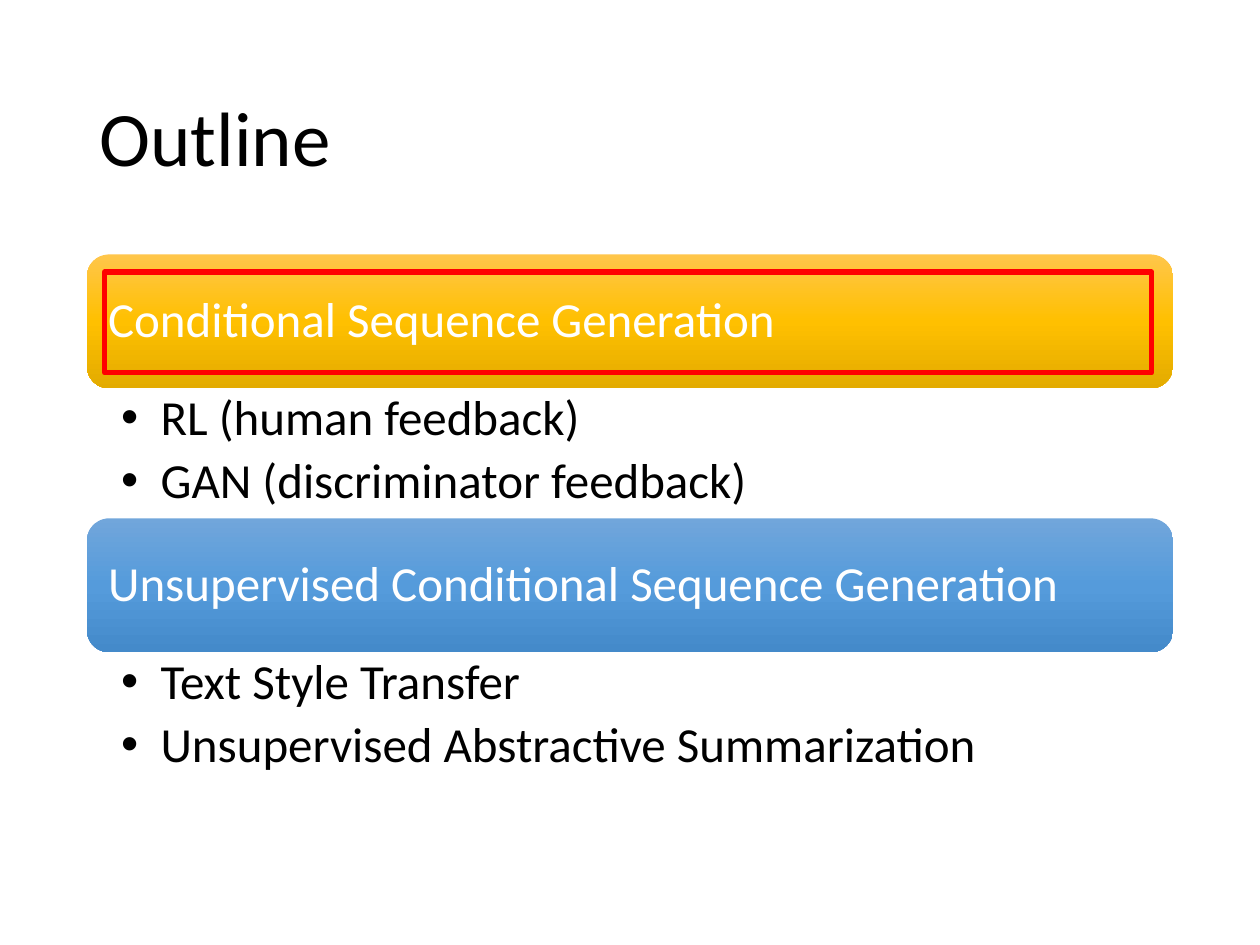
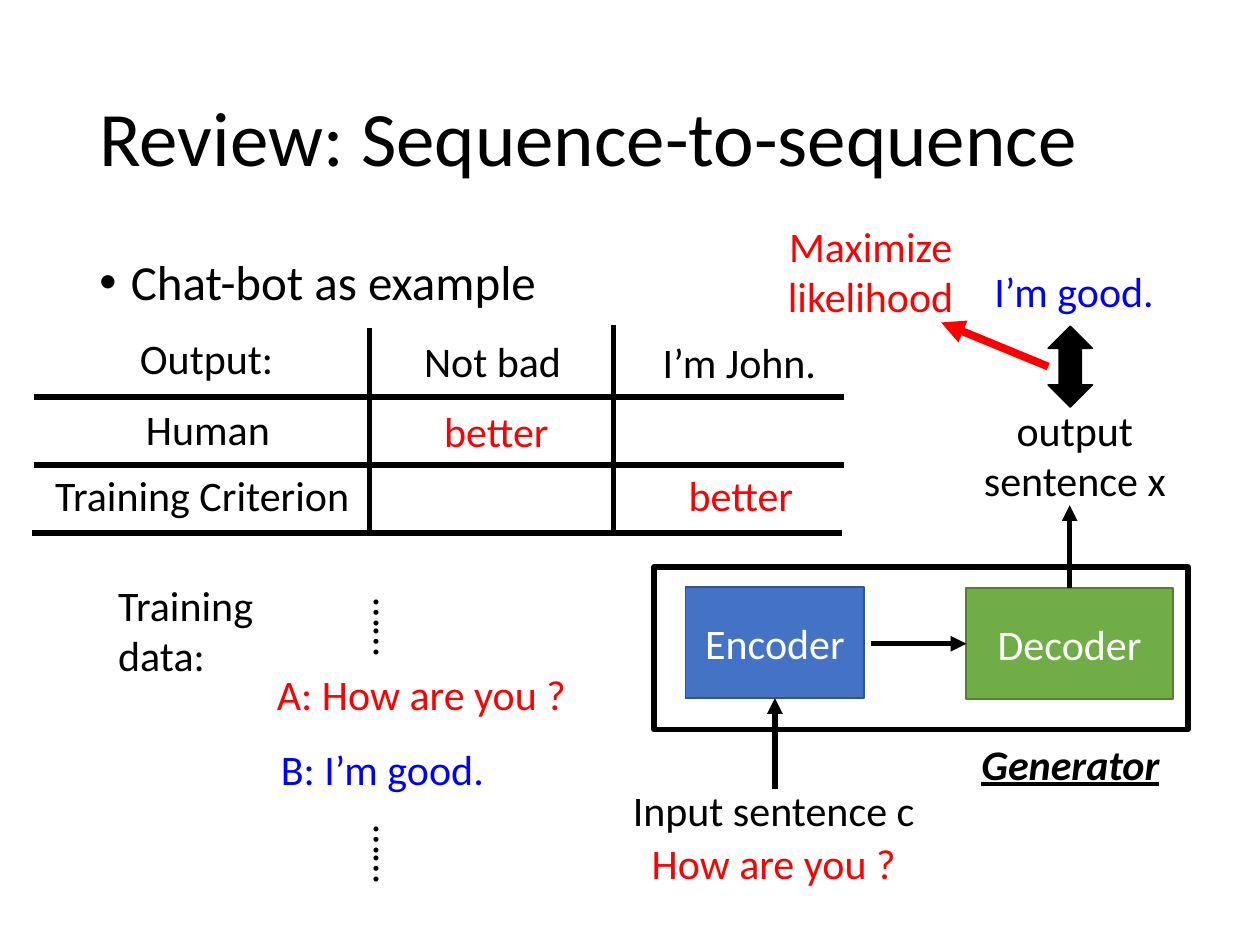
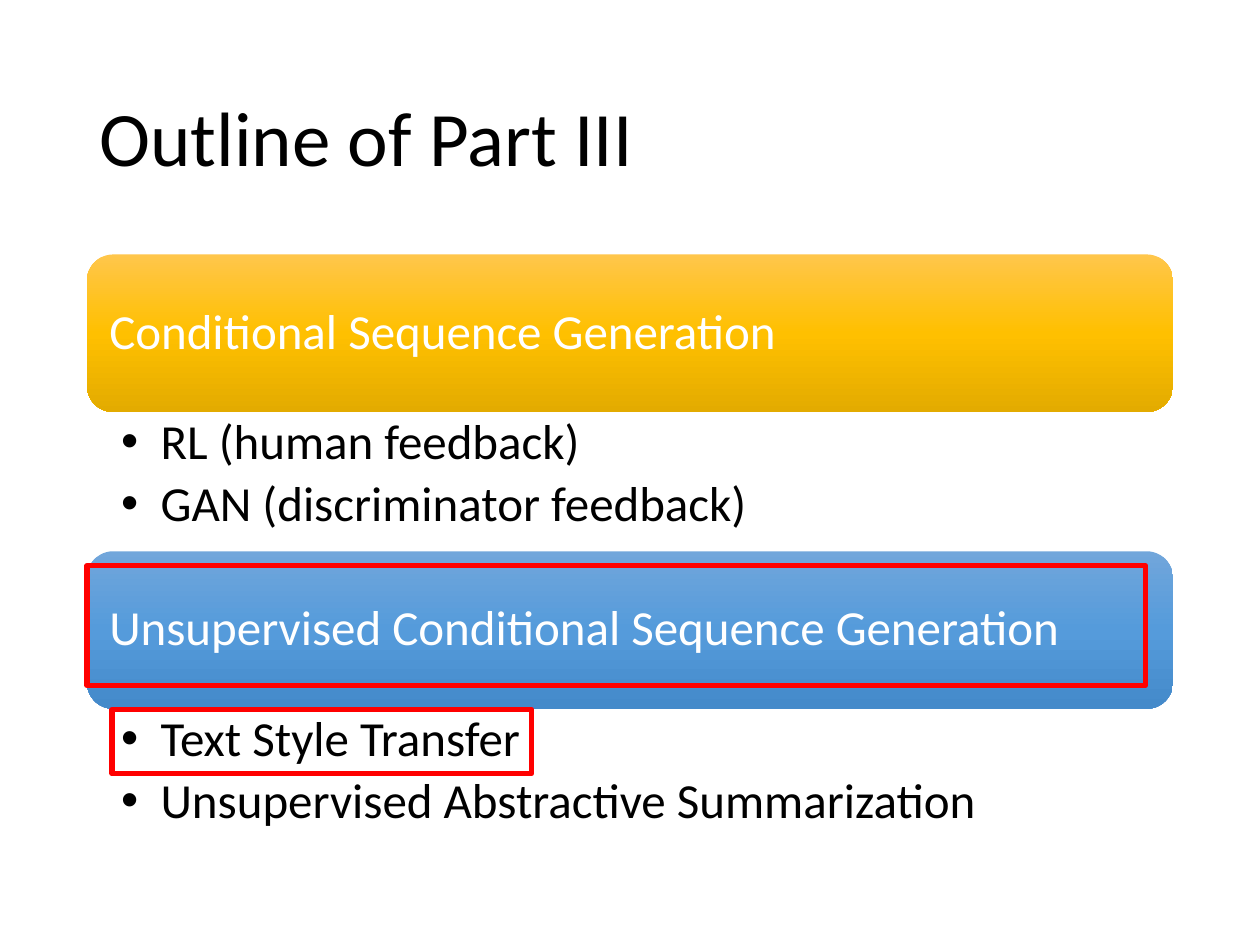
from copy import deepcopy
from dataclasses import dataclass

from lxml.etree import SubElement
from pptx import Presentation
from pptx.dml.color import RGBColor
from pptx.enum.shapes import MSO_CONNECTOR, MSO_SHAPE
from pptx.enum.text import MSO_ANCHOR, PP_ALIGN
from pptx.oxml.ns import qn
from pptx.util import Pt

FONT = "Calibri"
BLACK, WHITE, RED, BLUE = "000000", "FFFFFF", "FF0000", "0000FF"
LEFT, WIDTH = 49.7, 620.6
LINE_HEIGHT = 36
DEFAULT_INSETS = (7.2, 3.6, 7.2, 3.6)


@dataclass
class Box:
    left: float
    top: float
    width: float
    height: float = LINE_HEIGHT

    def points(self):
        return [Pt(v) for v in (self.left, self.top, self.width, self.height)]


@dataclass
class Label:
    text: str
    box: Box
    color: str = BLACK
    align: PP_ALIGN = PP_ALIGN.CENTER
    rotation: int = 0
    emphasis: bool = False


@dataclass
class Line:
    start: tuple
    end: tuple
    color: str = BLACK
    weight: float = 3


@dataclass
class Section:
    heading: str
    items: str
    gradient: tuple


SECTIONS = [
    Section("Conditional Sequence Generation",
            "RL (human feedback)\nGAN (discriminator feedback)",
            ("FFC64B", "FFC000", "E3AB00")),
    Section("Unsupervised Conditional Sequence Generation",
            "Text Style Transfer\nUnsupervised Abstractive Summarization",
            ("71A6DB", "559BDB", "448ACA")),
]


def rgb(color: str) -> RGBColor:
    return RGBColor.from_string(color)


def write_text(frame, text: str, *, size: float = 24, color: str = BLACK,
               align=PP_ALIGN.LEFT, anchor=MSO_ANCHOR.TOP, insets=DEFAULT_INSETS,
               spacing: float = 1.0, after: float = 0, indent: float = 0,
               emphasis: bool = False) -> None:
    """Fill a frame, one paragraph a line; an indent adds a bullet."""
    frame.word_wrap = True
    frame.vertical_anchor = anchor
    (frame.margin_left, frame.margin_top,
     frame.margin_right, frame.margin_bottom) = map(Pt, insets)
    frame.text = text
    for paragraph in frame.paragraphs:
        paragraph.alignment = align
        paragraph.line_spacing = spacing
        paragraph.space_after = Pt(after)
        if indent:
            properties = paragraph._p.get_or_add_pPr()
            properties.set("marL", str(Pt(indent)))
            properties.set("indent", str(-Pt(indent)))
            SubElement(properties, qn("a:buFont"), typeface="Arial")
            SubElement(properties, qn("a:buChar"), char="•")
        for run in paragraph.runs:
            font = run.font
            font.name, font.size = FONT, Pt(size)
            font.color.rgb = rgb(color)
            if emphasis:
                font.bold = font.italic = font.underline = True


def add_text(slide, text: str, box: Box, **style):
    holder = slide.shapes.add_textbox(*box.points())
    write_text(holder.text_frame, text, **style)
    return holder


def add_label(slide, label: Label) -> None:
    holder = add_text(slide, label.text, label.box, color=label.color,
                      align=label.align, emphasis=label.emphasis)
    holder.rotation = label.rotation


def add_block(slide, box: Box, kind=MSO_SHAPE.RECTANGLE, fill: str = "",
              outline: str = "", weight: float = 1):
    block = slide.shapes.add_shape(kind, *box.points())
    block.shadow.inherit = False
    if fill:
        block.fill.solid()
        block.fill.fore_color.rgb = rgb(fill)
    else:
        block.fill.background()
    if outline:
        block.line.color.rgb = rgb(outline)
        block.line.width = Pt(weight)
    else:
        block.line.fill.background()
    return block


def add_line(slide, line: Line, arrow: bool = False):
    connector = slide.shapes.add_connector(
        MSO_CONNECTOR.STRAIGHT, *map(Pt, line.start + line.end))
    connector.line.color.rgb = rgb(line.color)
    connector.line.width = Pt(line.weight)
    if arrow:
        SubElement(connector.line._get_or_add_ln(), qn("a:tailEnd"), type="triangle")
    SubElement(connector._element.spPr, qn("a:effectLst"))
    return connector


def shade(block, colors: tuple) -> None:
    """Shade from top to bottom through three evenly spaced colours."""
    fill = block.fill
    fill.gradient()
    fill.gradient_angle = 270
    stop_list = block._element.spPr.find(".//" + qn("a:gsLst"))
    stop_list.insert(1, deepcopy(stop_list[0]))
    for step, (stop, color) in enumerate(zip(fill.gradient_stops, colors)):
        stop.color.rgb = rgb(color)
        stop.position = step / 2


def start_slide(deck, title: str):
    slide = deck.slides.add_slide(deck.slide_layouts[6])
    add_text(slide, title, Box(LEFT, 28.8, WIDTH, 104.4), size=44,
             anchor=MSO_ANCHOR.MIDDLE, spacing=0.9)
    return slide


def outline_slide(deck, title: str, bar_height: float, list_height: float,
                  highlights: list) -> None:
    slide = start_slide(deck, title)
    top = 145.4
    for section in SECTIONS:
        bar = add_block(slide, Box(LEFT, top, WIDTH, bar_height),
                        MSO_SHAPE.ROUNDED_RECTANGLE)
        shade(bar, section.gradient)
        write_text(bar.text_frame, section.heading, size=28, color=WHITE,
                   anchor=MSO_ANCHOR.MIDDLE, insets=(8.4,) * 4, spacing=0.9)
        add_text(slide, section.items,
                 Box(LEFT, top + bar_height, WIDTH, list_height), size=28,
                 insets=(19.6, 2.8, 19.6, 2.8), spacing=0.9, after=5.6, indent=22.5)
        top += bar_height + list_height
    for highlight in highlights:
        add_block(slide, highlight, outline=RED, weight=3)


def review_slide(deck) -> None:
    slide = start_slide(deck, "Review: Sequence-to-sequence")
    add_text(slide, "Chat-bot as example", Box(LEFT, 144, WIDTH, 342.7),
             size=28, spacing=0.9, indent=18)

    # Generator: encoder and decoder
    encoder_box = Box(391.7, 335.5, 102.2, 63.4)
    decoder_box = Box(552.2, 336.2, 118.1, 63.4)
    encoder = add_block(slide, encoder_box, fill="4472C4", outline="325491")
    decoder = add_block(slide, decoder_box, fill="70AD47", outline="538035")
    for stage, name in ((encoder, "Encoder"), (decoder, "Decoder")):
        write_text(stage.text_frame, name, color=WHITE, align=PP_ALIGN.CENTER,
                   anchor=MSO_ANCHOR.MIDDLE)
    add_block(slide, Box(373.7, 324, 305.3, 92.9), outline=BLACK, weight=3)

    # Flow from the input sentence to the output sentence
    encoder_x = encoder_box.left + encoder_box.width / 2
    decoder_x = decoder_box.left + decoder_box.width / 2
    decoder_y = decoder_box.top + decoder_box.height / 2
    input_arrow = add_line(slide, Line((encoder_x, 450.7), (encoder_x, 398.9)), arrow=True)
    input_arrow.end_connect(encoder, 2)
    code_arrow = add_line(slide, Line((497.5, decoder_y), (552.2, decoder_y)), arrow=True)
    code_arrow.end_connect(decoder, 1)
    output_arrow = add_line(slide, Line((decoder_x, 336.2), (decoder_x, 288.7)), arrow=True)
    output_arrow.begin_connect(decoder, 0)

    # Comparison with the expected answer
    add_block(slide, Box(599, 186.5, 25.2, 46.1), MSO_SHAPE.UP_DOWN_ARROW,
              fill=BLACK, outline=BLACK)
    add_line(slide, Line((599, 209.5), (537.8, 184.3), RED, 4.5), arrow=True)

    # Rules of the criterion grid
    for rule in (
        Line((19.4, 226.8), (482.4, 226.8)),
        Line((19.4, 265.7), (482.4, 265.7)),
        Line((18, 304.6), (481, 304.6)),
        Line((211, 304.6), (211, 187.2)),
        Line((350.6, 303.1), (350.6, 185.8)),
    ):
        add_line(slide, rule)

    for label in (
        # Criterion grid
        Label("Output:", Box(49.7, 186.5, 136.8)),
        Label("Not bad", Box(213.1, 187.9, 136.8)),
        Label("I’m John.", Box(354.2, 188.6, 136.8)),
        Label("Human", Box(29.5, 226.8, 178.6)),
        Label("better", Box(239, 228.2, 89.3), RED),
        Label("Training Criterion", Box(22.3, 265, 186.5)),
        Label("better", Box(378.7, 265, 89.3), RED),
        # Training data
        Label("Training data:", Box(60.5, 327.6, 96.5, 65.5), align=PP_ALIGN.LEFT),
        Label("……", Box(193.7, 346.3, 59), align=PP_ALIGN.LEFT, rotation=90),
        Label("A: How are you ?", Box(151.2, 378.7, 211.7), RED, PP_ALIGN.LEFT),
        Label("B: I’m good.", Box(153.4, 421.2, 152), BLUE, PP_ALIGN.LEFT),
        Label("……", Box(193.7, 475.9, 59), align=PP_ALIGN.LEFT, rotation=90),
        # Generator and its sentences
        Label("Input sentence c", Box(337, 445, 210.2)),
        Label("How are you ?", Box(337, 475.2, 210.2), RED),
        Label("Generator", Box(553.7, 418.3, 139), align=PP_ALIGN.LEFT, emphasis=True),
        Label("output sentence x", Box(545.8, 227.5, 136.8, 65.5)),
        Label("I’m good.", Box(537.8, 148.3, 152), BLUE),
        Label("Maximize likelihood", Box(429.1, 122.4, 136.8, 65.5), RED),
    ):
        add_label(slide, label)


def main() -> None:
    deck = Presentation()
    deck.slide_width, deck.slide_height = Pt(720), Pt(540)
    outline_slide(deck, "Outline", 76.5, 74.3, [Box(59.8, 155.5, 598.3, 57.6)])
    review_slide(deck)
    outline_slide(deck, "Outline of Part III", 90, 79.6,
                  [Box(LEFT, 323.3, 604.8, 68.4), Box(64.1, 405.4, 239.8, 36.7)])
    deck.save("out.pptx")


if __name__ == "__main__":
    main()
